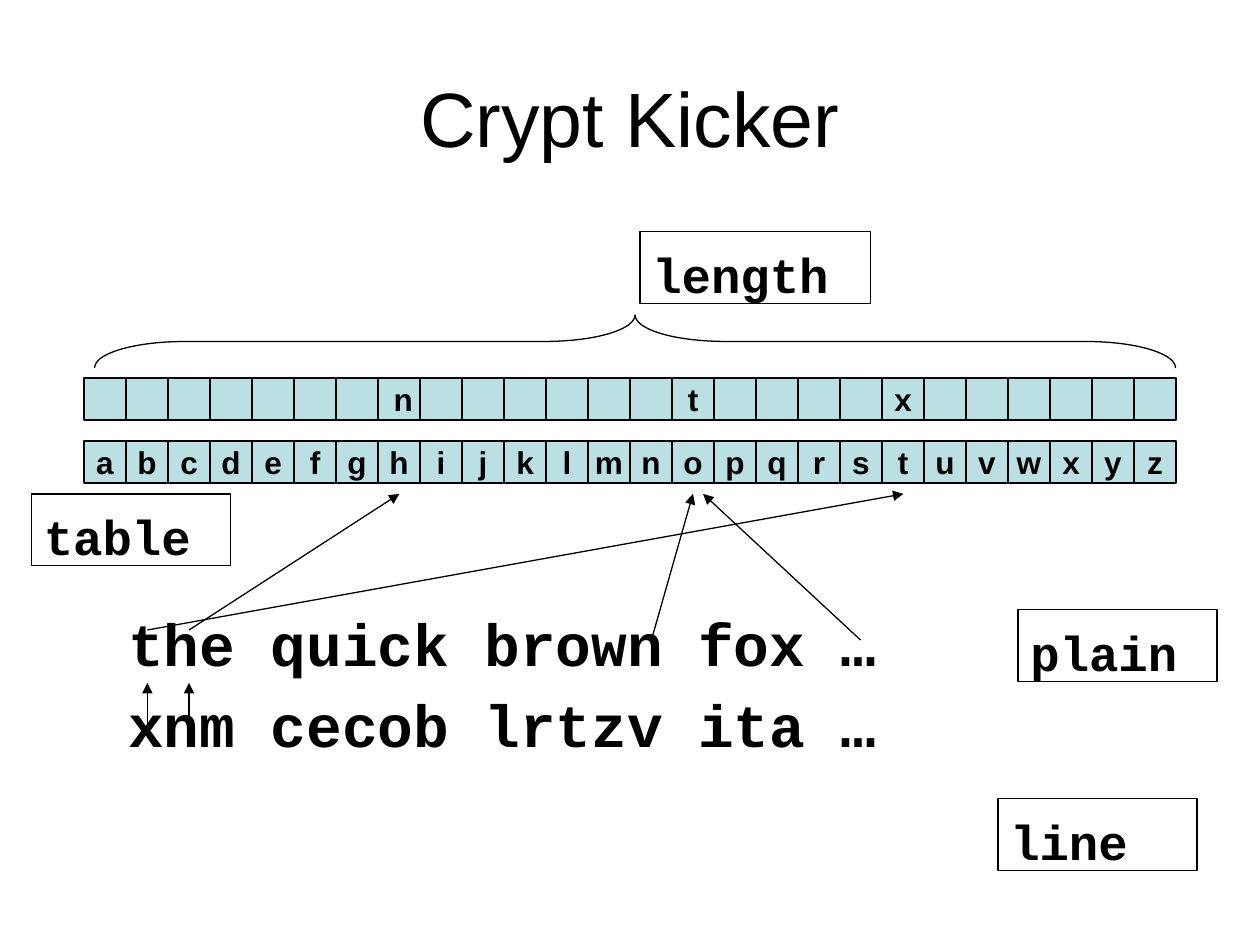
from dataclasses import dataclass

import pptx
import pptx.util
import pptx.dml.color
import pptx.enum.shapes
import pptx.enum.text
import pptx.oxml
import pptx.oxml.ns

Inches, Pt = pptx.util.Inches, pptx.util.Pt
SHAPE = pptx.enum.shapes.MSO_SHAPE
ALIGN = pptx.enum.text.PP_ALIGN
ANCHOR = pptx.enum.text.MSO_ANCHOR

COLORS = {"ink": "000000", "cell": "BBE0E3", "paper": "FFFFFF"}
SANS, MONO = "Arial", "Courier New"
LETTERS = "abcdefghijklmnopqrstuvwxyz"
SIDE = 1 / 3  # width of one letter cell
LEFT = 2 / 3  # left edge of the letter rows


@dataclass
class Label:
    text: str
    x: float
    y: float
    wide: float = 1.58
    fill: str = ""


@dataclass
class Arrow:
    x1: float
    y1: float
    x2: float
    y2: float


LABELS = [
    Label("plain", 8.08, 4.84),
    Label("line", 7.92, 6.34),
    Label("table", 0.25, 3.92, fill="paper"),
    Label("length", 5.08, 1.84, wide=1.83),
]
ARROWS = [
    Arrow(1.17, 5, 7.17, 3.92),
    Arrow(1.5, 5, 3.17, 3.92),
    Arrow(1.17, 5.83, 1.17, 5.42),
    Arrow(1.5, 5.83, 1.5, 5.42),
    Arrow(5.17, 5.08, 5.5, 3.92),
    Arrow(6.83, 5.08, 5.58, 3.92),
]
MAPPED = {"h": " n", "o": "t", "t": "x"}


def rgb(name: str) -> pptx.dml.color.RGBColor:
    return pptx.dml.color.RGBColor.from_string(COLORS[name])


def write(para, text: str, size: float, face: str, bold: bool = True) -> None:
    run = para.add_run()
    run.text = text
    font = run.font
    font.size, font.name, font.bold = Pt(size), face, bold
    font.color.rgb = rgb("ink")


def style(shape, fill: str = "") -> None:
    shape.shadow.inherit = False
    if fill:
        shape.fill.solid()
        shape.fill.fore_color.rgb = rgb(fill)
    else:
        shape.fill.background()
    shape.line.color.rgb = rgb("ink")
    shape.line.width = Pt(0.75)


def draw_row(slide, top: float, texts: list[str]) -> None:
    group = slide.shapes.add_group_shape()
    for i, text in enumerate(texts):
        cell = group.shapes.add_shape(
            SHAPE.RECTANGLE, Inches(LEFT + i * SIDE), Inches(top),
            Inches(SIDE), Inches(SIDE))
        style(cell, "cell")
        if text:
            frame = cell.text_frame
            frame.word_wrap = False
            frame.vertical_anchor = ANCHOR.MIDDLE
            para = frame.paragraphs[0]
            para.alignment = ALIGN.CENTER
            write(para, text, 18, SANS)


def draw_arrow(slide, arrow: Arrow) -> None:
    line = slide.shapes.add_connector(
        pptx.enum.shapes.MSO_CONNECTOR.STRAIGHT,
        Inches(arrow.x1), Inches(arrow.y1), Inches(arrow.x2), Inches(arrow.y2))
    line.line.color.rgb = rgb("ink")
    line.line.width = Pt(0.75)
    qn = pptx.oxml.ns.qn
    props = line.line._get_or_add_ln()
    props.append(props.makeelement(qn("a:tailEnd"), {"type": "triangle"}))
    outer = props.getparent()
    outer.append(outer.makeelement(qn("a:effectLst"), {}))


def draw_label(slide, label: Label) -> None:
    box = slide.shapes.add_shape(
        SHAPE.RECTANGLE, Inches(label.x), Inches(label.y),
        Inches(label.wide), Inches(0.57))
    style(box, label.fill)
    frame = box.text_frame
    frame.word_wrap = True
    frame.vertical_anchor = ANCHOR.TOP
    frame.margin_top = Inches(0.1)
    frame.margin_bottom = Inches(0)
    para = frame.paragraphs[0]
    para.alignment = ALIGN.LEFT
    write(para, label.text, 28, MONO)


def draw_text(slide, lines: list[str]) -> None:
    box = slide.shapes.add_textbox(
        Inches(0.92), Inches(4.83), Inches(8), Inches(1.42))
    frame = box.text_frame
    frame.word_wrap = True
    for i, text in enumerate(lines):
        para = frame.add_paragraph() if i else frame.paragraphs[0]
        para.line_spacing = 0.9
        para.space_before = Pt(10 if i else 0)
        write(para, text, 34, MONO)


def draw_brace(slide) -> None:
    wide, high = 0.42, 8.58
    brace = slide.shapes.add_shape(
        SHAPE.LEFT_BRACE, Inches(4.83), Inches(-1.58),
        Inches(wide), Inches(high))
    brace.rotation = 90
    brace.adjustments[0] = high / 12 / wide
    style(brace)


def main() -> None:
    deck = pptx.Presentation()
    deck.slide_width, deck.slide_height = Inches(10), Inches(7.5)
    slide = deck.slides.add_slide(deck.slide_layouts[5])

    # Title
    title = slide.shapes.title
    title.left, title.top = Inches(0.5), Inches(0.3)
    title.width, title.height = Inches(9), Inches(1.25)
    title.text_frame.vertical_anchor = ANCHOR.MIDDLE
    para = title.text_frame.paragraphs[0]
    para.alignment = ALIGN.CENTER
    write(para, "Crypt Kicker", 44, SANS, bold=False)

    # Plain and encrypted lines
    draw_text(slide, ["the quick brown fox …", "xnm cecob lrtzv ita …"])

    # Letter table: alphabet below, mapped letters above
    draw_row(slide, 3.5, list(LETTERS))
    draw_row(slide, 3, [MAPPED.get(letter, "") for letter in LETTERS])

    # Arrows, brace and labels
    for arrow in ARROWS:
        draw_arrow(slide, arrow)
    draw_brace(slide)
    for label in LABELS:
        draw_label(slide, label)

    deck.save("out.pptx")


if __name__ == "__main__":
    main()
